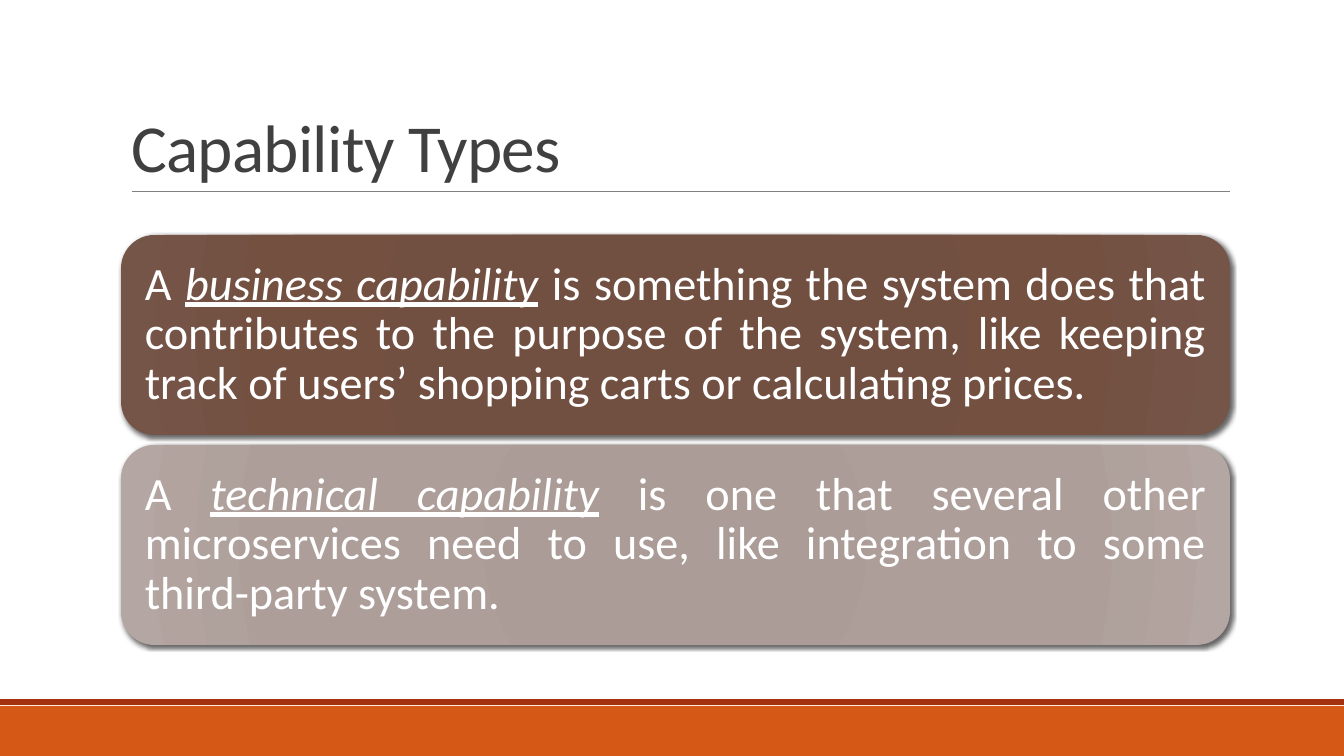
from lxml.etree import SubElement
from pptx import Presentation
from pptx.dml.color import RGBColor
from pptx.enum.shapes import MSO_CONNECTOR, MSO_SHAPE
from pptx.enum.text import MSO_ANCHOR, MSO_AUTO_SIZE, PP_ALIGN
from pptx.oxml import parse_xml
from pptx.oxml.ns import nsdecls, qn
from pptx.util import Emu, Pt

FONT = "Calibri"
WHITE = RGBColor(0xFF, 0xFF, 0xFF)
TITLE_GREY = RGBColor(0x40, 0x40, 0x40)
RULE_GREY = RGBColor(0x80, 0x80, 0x80)
ORANGE = RGBColor(0xD5, 0x58, 0x16)
RED = RGBColor(0xA5, 0x30, 0x0F)
GRADIENT_POSITIONS = (0, 34, 70, 100)
BROWN_STOPS = [RGBColor.from_string(code) for code in ("714E40", "714F41", "745041", "755548")]
TAUPE_STOPS = [RGBColor.from_string(code) for code in ("A99A95", "AB9C97", "AD9E99", "B4A6A2")]

CAPABILITIES = [
    ("business capability",
     " is something the system does that contributes to the purpose of the system, "
     "like keeping track of users’ shopping carts or calculating prices.", BROWN_STOPS),
    ("technical capability",
     " is one that several other microservices need to use, "
     "like integration to some third-party system.", TAUPE_STOPS),
]


def px(length):
    return Emu(round(length * 914400 / 100.8))


def add_footer(slide, left, top, width, height):
    """Thin red strip above an orange bar, with a hairline gap."""
    strip, gap = 6, 1
    bars = [(top, strip, RED), (top + strip + gap, height - strip - gap, ORANGE)]
    for bar_top, bar_height, color in bars:
        bar = slide.shapes.add_shape(
            MSO_SHAPE.RECTANGLE, px(left), px(bar_top), px(width), px(bar_height))
        bar.shadow.inherit = False
        bar.fill.solid()
        bar.fill.fore_color.rgb = color
        bar.line.fill.background()


def add_title(slide, left, top, width, height):
    """Title with a thin rule along its lower edge."""
    rule_inset = 11
    rule = slide.shapes.add_connector(
        MSO_CONNECTOR.STRAIGHT, px(left + rule_inset), px(top + height),
        px(left + width), px(top + height))
    rule.line.color.rgb = RULE_GREY
    rule.line.width = Pt(0.5)
    SubElement(rule.element.spPr, qn("a:effectLst"))

    title = slide.shapes.title
    title.left, title.top, title.width, title.height = map(px, (left, top, width, height))
    frame = title.text_frame
    frame.auto_size = MSO_AUTO_SIZE.NONE
    frame.vertical_anchor = MSO_ANCHOR.BOTTOM
    paragraph = frame.paragraphs[0]
    paragraph.alignment = PP_ALIGN.LEFT
    paragraph.line_spacing = 0.85
    run = paragraph.add_run()
    run.text = "Capability Types"
    run._r.get_or_add_rPr().set("spc", "-50")
    paragraph.font.name = FONT
    paragraph.font.size = Pt(48)
    paragraph.font.color.rgb = TITLE_GREY


def style_card(card, colors):
    """Radial gradient and soft shadow."""
    card.line.fill.background()
    stops = "".join(
        f'<a:gs pos="{position * 1000}"><a:srgbClr val="{color}"/></a:gs>'
        for position, color in zip(GRADIENT_POSITIONS, colors))
    gradient = parse_xml(
        f'<a:gradFill {nsdecls("a")} rotWithShape="1"><a:gsLst>{stops}</a:gsLst>'
        '<a:path path="circle"><a:fillToRect l="100000" t="100000" r="100000" b="100000"/>'
        '</a:path></a:gradFill>')
    properties = card.element.spPr
    properties.find(qn("a:ln")).addprevious(gradient)
    properties.append(parse_xml(
        f'<a:effectLst {nsdecls("a")}><a:outerShdw blurRad="{Pt(3)}" dist="{Pt(2)}" '
        'dir="2700000" algn="ctr" rotWithShape="0"><a:srgbClr val="000000">'
        '<a:alpha val="60000"/></a:srgbClr></a:outerShdw></a:effectLst>'))


def add_card(slide, left, top, width, height, term, explanation, colors):
    card = slide.shapes.add_shape(
        MSO_SHAPE.ROUNDED_RECTANGLE, px(left), px(top), px(width), px(height))
    style_card(card, colors)
    frame = card.text_frame
    frame.word_wrap = True
    frame.vertical_anchor = MSO_ANCHOR.MIDDLE
    frame.margin_left = frame.margin_right = frame.margin_top = frame.margin_bottom = px(14)
    paragraph = frame.paragraphs[0]
    paragraph.alignment = PP_ALIGN.JUSTIFY
    paragraph.line_spacing = 0.9
    for text in ("A ", term, explanation):
        run = paragraph.add_run()
        run.text = text
        if text == term:
            run.font.italic = True
            run.font.underline = True
    paragraph.font.name = FONT
    paragraph.font.size = Pt(33)
    paragraph.font.color.rgb = WHITE


def add_cards(slide, left, top, width, height):
    """Equal cards stacked in the box."""
    gap = 10
    card_height = (height - gap * (len(CAPABILITIES) - 1)) // len(CAPABILITIES)
    for index, capability in enumerate(CAPABILITIES):
        card_top = top + index * (card_height + gap)
        add_card(slide, left, card_top, width, card_height, *capability)


def main():
    presentation = Presentation()
    presentation.slide_width = px(1344)
    presentation.slide_height = px(756)
    slide = presentation.slides.add_slide(presentation.slide_layouts[5])
    add_footer(slide, 0, 699, 1344, 57)
    add_title(slide, 121, 31, 1109, 160)
    add_cards(slide, 121, 235, 1109, 410)
    presentation.save("out.pptx")


if __name__ == "__main__":
    main()
